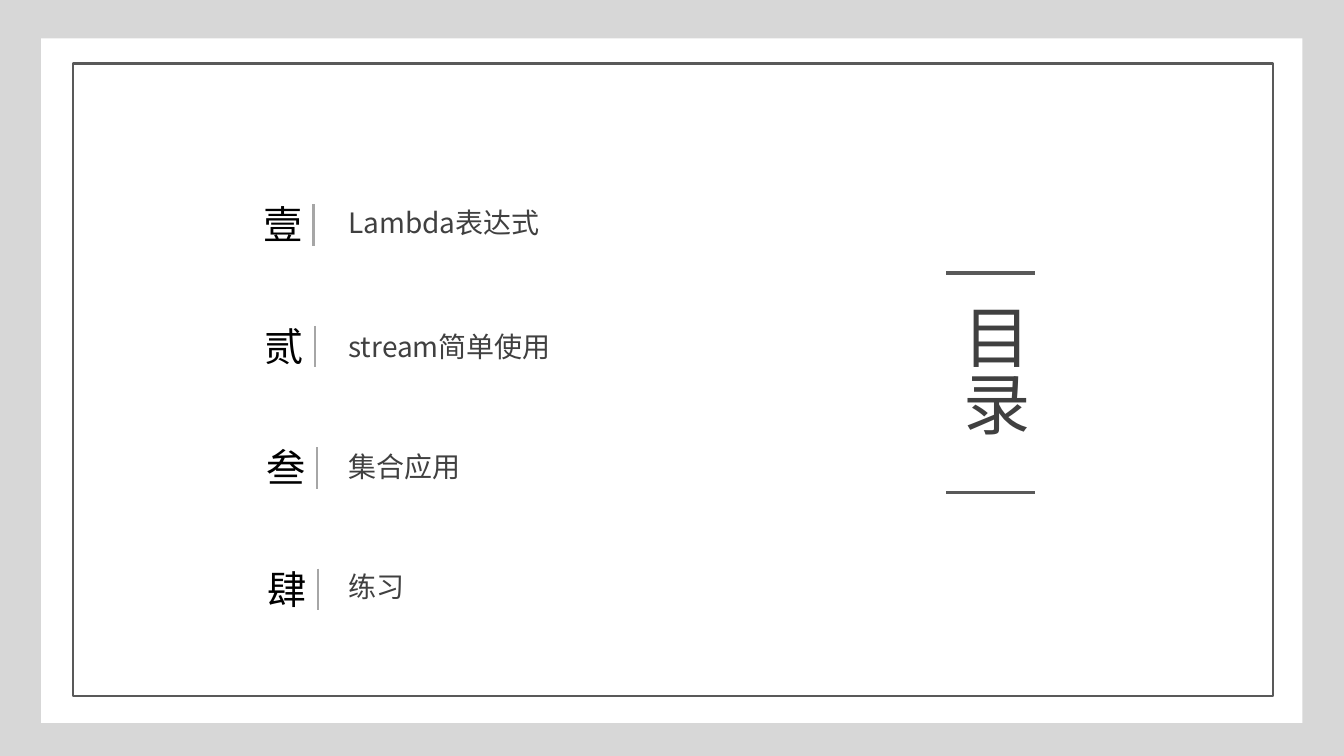
from pptx import Presentation
from pptx.dml.color import RGBColor
from pptx.enum.shapes import MSO_CONNECTOR, MSO_SHAPE
from pptx.enum.text import MSO_AUTO_SIZE, PP_ALIGN
from pptx.oxml.ns import qn
from pptx.util import Cm, Pt
from lxml import etree

FONT = "Noto Sans CJK SC"
COLORS = {
    "backdrop": "D7D7D7",
    "paper": "FFFFFF",
    "frame": "595959",
    "divider": "A6A6A6",
    "numeral": "000000",
    "text": "404040",
}
# numeral, label, top of the label in cm
CONTENTS = [
    ("壹", "Lambda表达式", 5.05),
    ("贰", "stream简单使用", 8.18),
    ("叁", "集合应用", 11.2),
    ("肆", "练习", 14.22),
]
ROW_TOP, ROW_STEP = 4.93, 3.06
NUMERAL_LEFT, DIVIDER_LEFT, ROW_SHIFT = 6.38, 7.9, 0.04


def color(name):
    return RGBColor.from_string(COLORS[name])


def add_rectangle(slide, left, top, width, height, fill=None, line=None):
    shape = slide.shapes.add_shape(
        MSO_SHAPE.RECTANGLE, Cm(left), Cm(top), Cm(width), Cm(height))
    shape.shadow.inherit = False
    if fill:
        shape.fill.solid()
        shape.fill.fore_color.rgb = color(fill)
    else:
        shape.fill.background()
    if line:
        shape.line.color.rgb = color(line)
        shape.line.width = Pt(1.5)
    else:
        shape.line.fill.background()


def add_line(slide, start, end, line, width):
    connector = slide.shapes.add_connector(
        MSO_CONNECTOR.STRAIGHT, *map(Cm, start + end))
    connector.line.color.rgb = color(line)
    connector.line.width = Pt(width)
    etree.SubElement(connector._element.spPr, qn("a:effectLst"))


def add_text(slide, text, left, top, width, height, size, font_color, vertical=False):
    """Add a one-paragraph text box; vertical text runs in East Asian columns."""
    box = slide.shapes.add_textbox(Cm(left), Cm(top), Cm(width), Cm(height))
    frame = box.text_frame
    frame.word_wrap = True
    frame.auto_size = MSO_AUTO_SIZE.SHAPE_TO_FIT_TEXT
    paragraph = frame.paragraphs[0]
    paragraph.text = text
    paragraph.font.size = Pt(size)
    paragraph.font.color.rgb = color(font_color)
    paragraph.font.name = FONT
    properties = paragraph._p.pPr.find(qn("a:defRPr"))
    etree.SubElement(properties, qn("a:ea")).set("typeface", FONT)
    if vertical:
        frame._txBody.bodyPr.set("vert", "eaVert")
        paragraph.alignment = PP_ALIGN.JUSTIFY


def add_contents_row(slide, index, numeral, label, label_top):
    top = ROW_TOP + index * ROW_STEP
    shift = index * ROW_SHIFT
    divider_left = DIVIDER_LEFT + shift
    add_text(slide, numeral, NUMERAL_LEFT + shift, top, 1.35, 1.45, 28, "numeral")
    add_line(slide, (divider_left, top + 0.22), (divider_left, top + 1.27),
             "divider", 1.5)
    add_text(slide, label, 8.53, label_top, 7.87, 1.12, 20, "text")


def add_title(slide):
    add_text(slide, "目录", 23.65, 7.39, 2.57, 4.55, 48, "text", vertical=True)
    for height in (6.88, 12.4):
        add_line(slide, (23.85, height), (26.09, height), "frame", 2.25)


def main():
    presentation = Presentation()
    presentation.slide_width = Cm(33.87)
    presentation.slide_height = Cm(19.05)
    slide = presentation.slides.add_slide(presentation.slide_layouts[6])
    add_rectangle(slide, 0, 0, 33.87, 19.05, fill="backdrop")
    add_rectangle(slide, 1.04, 0.97, 31.78, 17.25, fill="paper")
    add_rectangle(slide, 1.83, 1.6, 30.25, 15.95, line="frame")
    for index, row in enumerate(CONTENTS):
        add_contents_row(slide, index, *row)
    add_title(slide)
    presentation.save("out.pptx")


if __name__ == "__main__":
    main()
